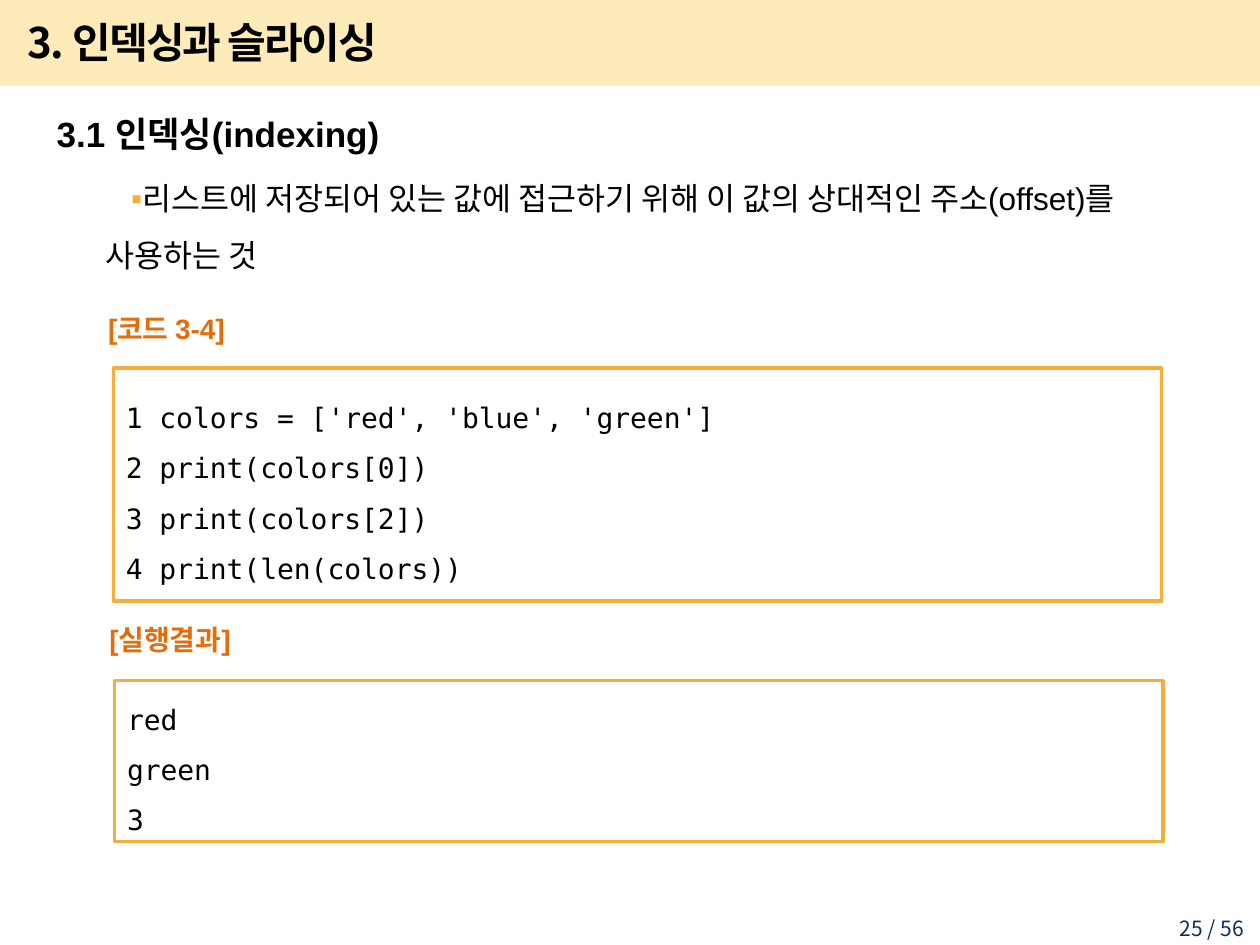
"""Build the slide on list indexing with its code and result boxes."""
from lxml import etree
from pptx import Presentation
from pptx.dml.color import RGBColor
from pptx.enum.shapes import MSO_SHAPE
from pptx.enum.text import MSO_ANCHOR, MSO_AUTO_SIZE, PP_ALIGN
from pptx.oxml.ns import qn
from pptx.util import Inches, Pt

RECTANGLE = MSO_SHAPE.RECTANGLE
MIDDLE, TOP = MSO_ANCHOR.MIDDLE, MSO_ANCHOR.TOP
LEFT, RIGHT = PP_ALIGN.LEFT, PP_ALIGN.RIGHT
NO_AUTOFIT = MSO_AUTO_SIZE.NONE
KOREAN, SANS, MONO = "Noto Sans CJK KR", "Arial", "DejaVu Sans Mono"
BLACK, AMBER, ORANGE = "000000", "F6AD3A", "E46C0A"


def color(value):
    """Return the colour of a hex string."""
    return RGBColor.from_string(value)


def write(shape, lines, size, name, ink=BLACK, bold=False, anchor=MIDDLE, align=LEFT, spacing=1.0):
    """Fill a shape with one formatted paragraph per line."""
    frame = shape.text_frame
    frame.word_wrap = True
    frame.auto_size = NO_AUTOFIT
    frame.vertical_anchor = anchor
    frame.text = "\n".join(lines)
    for paragraph in frame.paragraphs:
        paragraph.alignment = align
        paragraph.line_spacing = spacing
        paragraph.space_before = Pt(0)
        font = paragraph.font
        font.size, font.name, font.bold = Pt(size), name, bold
        font.color.rgb = color(ink)
        properties = paragraph._p.pPr.find(qn("a:defRPr"))
        etree.SubElement(properties, qn("a:ea")).set("typeface", KOREAN)
    return frame.paragraphs


presentation = Presentation()
presentation.slide_width, presentation.slide_height = Inches(10), Inches(7.5)
slide = presentation.slides.add_slide(presentation.slide_layouts[1])
shapes = slide.shapes

band = shapes.add_shape(RECTANGLE, 0, 0, Inches(10), Inches(0.68))
band.shadow.inherit = False
band.fill.solid()
band.fill.fore_color.rgb = color("FDECBA")
band.line.fill.background()
shapes._spTree.insert(2, band._element)

title = shapes.title
title.left, title.top, title.width, title.height = Inches(0.12), Inches(0.07), Inches(8.51), Inches(0.52)
heading = write(title, ["3. 인덱싱과 슬라이싱"], 24, KOREAN, bold=True)[0]
heading._p.pPr.find(qn("a:defRPr")).set("spc", "-100")

body = slide.placeholders[1]
body.left, body.top, body.width, body.height = Inches(0.35), Inches(0.84), Inches(9.15), Inches(5.86)
topic, definition = write(
    body,
    ["3.1 인덱싱(indexing)", "리스트에 저장되어 있는 값에 접근하기 위해 이 값의 상대적인 주소(offset)를 사용하는 것"],
    20, SANS, bold=True, anchor=TOP)
topic_properties = topic._p.pPr
topic_properties.set("marL", "0")
topic_properties.set("indent", "0")
topic_properties.insert_element_before(etree.Element(qn("a:buNone")), "a:defRPr")

definition.level = 1
definition.line_spacing = 1.5
definition.space_before = Pt(3.6)
definition.font.size, definition.font.bold = Pt(18), False
definition_properties = definition._p.pPr
definition_properties.set("marL", str(Inches(0.39)))
definition_properties.set("indent", str(Inches(0.2)))
bullet_color = etree.Element(qn("a:buClr"))
etree.SubElement(bullet_color, qn("a:srgbClr")).set("val", AMBER)
bullet_font = etree.Element(qn("a:buFont"))
bullet_font.set("typeface", SANS)
bullet = etree.Element(qn("a:buChar"))
bullet.set("char", "▪")
for element in (bullet_color, bullet_font, bullet):
    definition_properties.insert_element_before(element, "a:defRPr")

code = ["1 colors = ['red', 'blue', 'green']", "2 print(colors[0])", "3 print(colors[2])", "4 print(len(colors))"]
listings = [
    ("[코드 3-4]", 0.76, 2.33, 0.9, 2.92, 1.85, code),
    ("[실행결과]", 0.77, 4.8, 0.91, 5.4, 1.28, ["red", "green", "3"]),
]
for caption, caption_left, caption_top, left, top, height, lines in listings:
    label = shapes.add_textbox(Inches(caption_left), Inches(caption_top), Inches(1.57), Inches(0.55))
    write(label, [caption], 16, SANS, ORANGE, bold=True)
    box = shapes.add_shape(RECTANGLE, Inches(left), Inches(top), Inches(8.32), Inches(height))
    box.shadow.inherit = False
    box.fill.background()
    box.line.color.rgb = color(AMBER)
    box.line.width = Pt(2)
    write(box, lines, 16, MONO, spacing=1.5)

page_number = shapes.add_textbox(Inches(9.05), Inches(7.22), Inches(0.92), Inches(0.23))
write(page_number, ["25 / 56"], 12, KOREAN, "0F2E53", anchor=TOP, align=RIGHT)

presentation.save("out.pptx")
